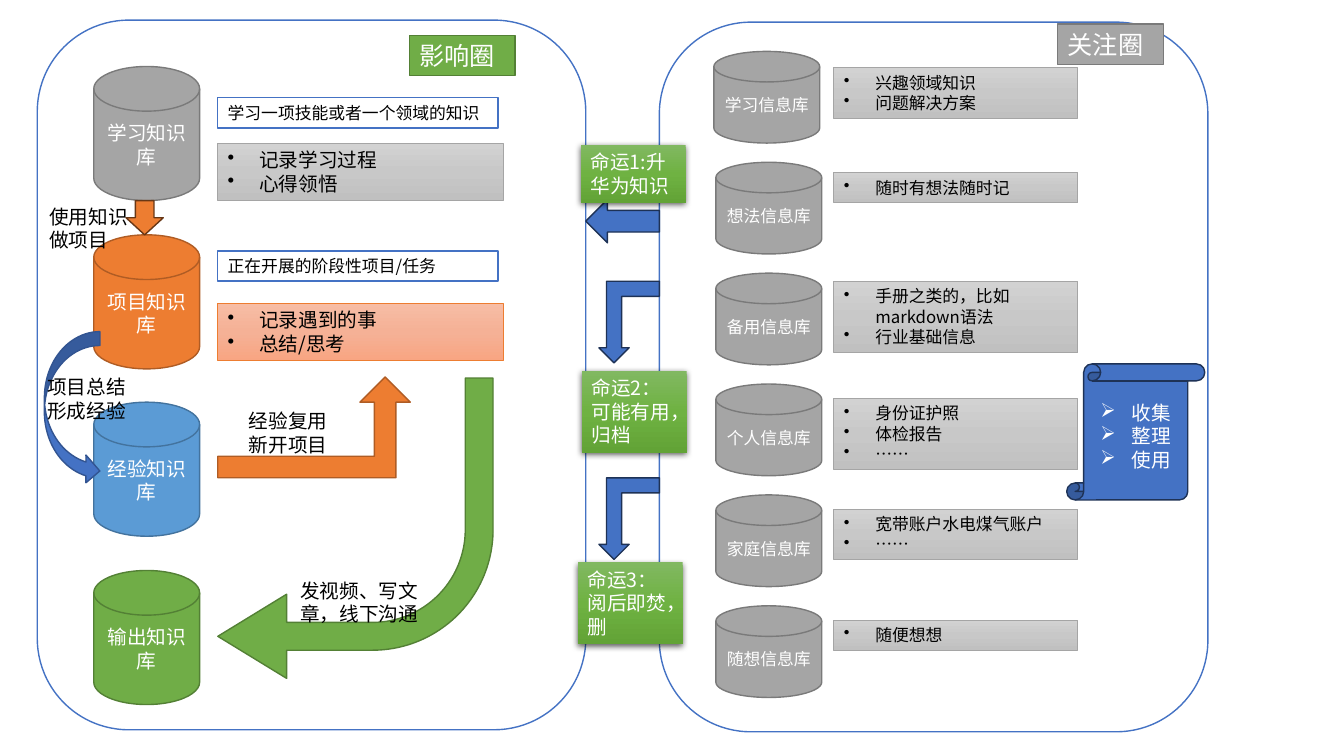
import copy

import lxml.etree
import pptx
import pptx.dml.color
import pptx.enum.shapes
import pptx.enum.text
import pptx.oxml.ns
import pptx.util

PX = 9144  # 100 px to the inch
FONT = "Noto Sans CJK SC"
KIND = pptx.enum.shapes.MSO_SHAPE
ALIGN = pptx.enum.text.PP_ALIGN
ANCHOR = pptx.enum.text.MSO_ANCHOR
qn = pptx.oxml.ns.qn

COLORS = {
    "white": "FFFFFF", "black": "000000",
    "blue": "4472C4", "blue edge": "325491", "navy": "1E3256",
    "orange": "ED7D31", "orange edge": "AF5C24", "brown": "683715",
    "gray": "A5A5A5", "gray edge": "7A7A7A",
    "sky": "5B9BD5", "sky edge": "43739E",
    "green": "70AD47", "green edge": "538035",
}
GRADIENTS = {
    "gray fade": ("D2D2D2", "C8C8C8", "C0C0C0"),
    "orange fade": ("F7BDA5", "F5B196", "F8A582"),
    "green fade": ("81B861", "6FB242", "62A336"),
}


def rgb(value):
    return pptx.dml.color.RGBColor.from_string(value)


def within(box, left, top, width, height):
    return box[0] + left, box[1] + top, width, height


def fill_gradient(shape, values):
    shape.fill.gradient()
    shape.fill.gradient_angle = 270
    stops = shape._element.spPr.find(".//" + qn("a:gsLst"))
    stops.append(copy.deepcopy(stops[0]))
    for index, (stop, value) in enumerate(zip(shape.fill.gradient_stops, values)):
        stop.position = index / 2
        stop.color.rgb = rgb(value)


def add_shape(page, kind, box, fill, edge=None, weight=1, adjust=(), turn=0):
    shape = page.shapes.add_shape(kind, *(side * PX for side in box))
    shape.shadow.inherit = False
    shape.rotation = turn
    for index, value in enumerate(adjust):
        shape.adjustments[index] = value
    if fill in GRADIENTS:
        fill_gradient(shape, GRADIENTS[fill])
    else:
        shape.fill.solid()
        shape.fill.fore_color.rgb = rgb(COLORS[fill])
    if edge:
        shape.line.color.rgb = rgb(COLORS[edge])
        shape.line.width = pptx.util.Pt(weight)
    else:
        shape.line.fill.background()
    return shape


def write(shape, lines, size, color="black", bullet=None, centred=False, middle=False):
    frame = shape.text_frame
    frame.word_wrap = True
    frame.vertical_anchor = ANCHOR.MIDDLE if middle else ANCHOR.TOP
    if not middle:
        frame.auto_size = pptx.enum.text.MSO_AUTO_SIZE.SHAPE_TO_FIT_TEXT
    for index, line in enumerate(lines):
        para = frame.add_paragraph() if index else frame.paragraphs[0]
        para.text = line
        para.alignment = ALIGN.CENTER if centred else ALIGN.LEFT
        props = para._p.get_or_add_pPr()
        if bullet:
            props.set("marL", "285750")
            props.set("indent", "-285750")
            lxml.etree.SubElement(props, qn("a:buChar"), char=bullet)
        para.font.size = pptx.util.Pt(size)
        para.font.name = FONT
        para.font.color.rgb = rgb(COLORS[color])
        latin = props.find(".//" + qn("a:latin"))
        latin.addnext(latin.makeelement(qn("a:ea"), {"typeface": FONT}))


def add_label(page, box, lines):
    write(page.shapes.add_textbox(*(side * PX for side in box)), lines, 14)


def add_store(page, box, name, color, size):
    shape = add_shape(page, KIND.FLOWCHART_MAGNETIC_DISK, box, color, color + " edge")
    write(shape, [name], size, "white", centred=True, middle=True)


def add_list(page, box, lines, color, size):
    shape = add_shape(page, KIND.RECTANGLE, box, color + " fade", color, 0.5)
    write(shape, lines, size, bullet="•")


def add_panel(page, box):
    add_shape(page, KIND.ROUNDED_RECTANGLE, box, "white", "blue")


def add_title(page, box, title, color):
    shape = add_shape(page, KIND.RECTANGLE, box, color, color + " edge")
    write(shape, [title], 18, "white")


def draw_influence_circle(page, box):
    add_panel(page, box)
    # Knowledge stores
    stores = [("学习知识库", "gray"), ("项目知识库", "orange"),
              ("经验知识库", "sky"), ("输出知识库", "green")]
    for index, (name, color) in enumerate(stores):
        top = round(46 + index * 500 / 3)
        add_store(page, within(box, 56, top, 105, 133), name, color, 14)
    add_title(page, within(box, 369, 15, 105, 40), "影响圈", "green")

    # Descriptions of the first two stores
    notes = [
        (77, "学习一项技能或者一个领域的知识", 122, ["记录学习过程", "心得领悟"], "gray"),
        (229, "正在开展的阶段性项目/任务", 281, ["记录遇到的事", "总结/思考"], "orange"),
    ]
    for note_top, note, list_top, lines, color in notes:
        frame = add_shape(page, KIND.RECTANGLE, within(box, 179, note_top, 278, 30),
                          "white", "blue")
        write(frame, [note], 12)
        add_list(page, within(box, 179, list_top, 283, 57), lines, color, 14)

    # Arrows between the stores, with their labels
    add_shape(page, KIND.CURVED_RIGHT_ARROW, within(box, 7, 309, 55, 152),
              "blue", "blue edge")
    add_shape(page, KIND.BENT_UP_ARROW, within(box, 179, 354, 191, 100),
              "orange", "orange edge", adjust=(0.213, 0.25, 0.25))
    add_label(page, within(box, 200, 381, 124, 57), ["经验复用", "新开项目"])
    add_label(page, within(box, 0, 347, 124, 57), ["项目总结", "形成经验"])
    add_shape(page, KIND.BENT_ARROW, within(box, 179, 355, 273, 298),
              "green", "green edge", adjust=(0.101, 0.153, 0.25, 0.438), turn=180)
    add_label(page, within(box, 251, 549, 144, 57), ["发视频、写文章，线下沟通"])
    add_shape(page, KIND.DOWN_ARROW, within(box, 88, 179, 37, 34), "orange", "brown")
    add_label(page, within(box, 2, 178, 104, 57), ["使用知识做项目"])


def draw_concern_circle(page, box):
    add_panel(page, box)
    add_title(page, within(box, 395, 2, 105, 40), "关注圈", "gray")
    # Information stores: name, left, list top, list height, list lines
    stores = [
        ("学习信息库", 54, 45, 50, ["兴趣领域知识", "问题解决方案"]),
        ("想法信息库", 56, 149, 30, ["随时有想法随时记"]),
        ("备用信息库", 56, 257, 71, ["手册之类的，比如markdown语法", "行业基础信息"]),
        ("个人信息库", 56, 373, 71, ["身份证护照", "体检报告", "……"]),
        ("家庭信息库", 56, 483, 50, ["宽带账户水电煤气账户", "……"]),
        ("随想信息库", 56, 593, 30, ["随便想想"]),
    ]
    for index, (name, left, list_top, height, lines) in enumerate(stores):
        add_store(page, within(box, left, 29 + index * 110, 105, 91), name, "gray", 12)
        add_list(page, within(box, 173, list_top, 242, height), lines, "gray", 12)
    # Scroll of actions
    scroll = add_shape(page, KIND.VERTICAL_SCROLL, within(box, 404, 339, 137, 135),
                       "blue", "navy")
    write(scroll, ["收集", "整理", "使用"], 14, "white", bullet="➢",
          centred=True, middle=True)


def add_fate(page, box, lines):
    shape = add_shape(page, KIND.RECTANGLE, box, "green fade")
    effects = shape._element.spPr.find(qn("a:effectLst"))
    shadow = lxml.etree.SubElement(effects, qn("a:outerShdw"), blurRad="57150",
                                   dist="19050", dir="5400000", algn="ctr",
                                   rotWithShape="0")
    tint = lxml.etree.SubElement(shadow, qn("a:srgbClr"), val=COLORS["black"])
    lxml.etree.SubElement(tint, qn("a:alpha"), val="63000")
    write(shape, lines, 14, "white")


def draw_fates(page, box):
    add_shape(page, KIND.LEFT_ARROW, within(box, 8, 54, 73, 43), "blue", "navy")
    for top in (135, 330):
        add_shape(page, KIND.BENT_UP_ARROW, within(box, 21, top, 60, 81),
                  "blue", "navy", turn=180)
    fates = [(3, 0, 57, ["命运1:升华为知识"]),
             (4, 224, 81, ["命运2：可能有用，归档"]),
             (0, 414, 81, ["命运3：阅后即焚，", "删"])]
    for left, top, height, lines in fates:
        add_fate(page, within(box, left, top, 104, height), lines)


def main():
    deck = pptx.Presentation()
    deck.slide_width, deck.slide_height = 1333 * PX, 750 * PX
    page = deck.slides.add_slide(deck.slide_layouts[6])
    draw_influence_circle(page, (37, 20, 544, 704))
    draw_concern_circle(page, (654, 22, 544, 704))
    draw_fates(page, (573, 144, 108, 495))
    deck.save("out.pptx")


if __name__ == "__main__":
    main()
